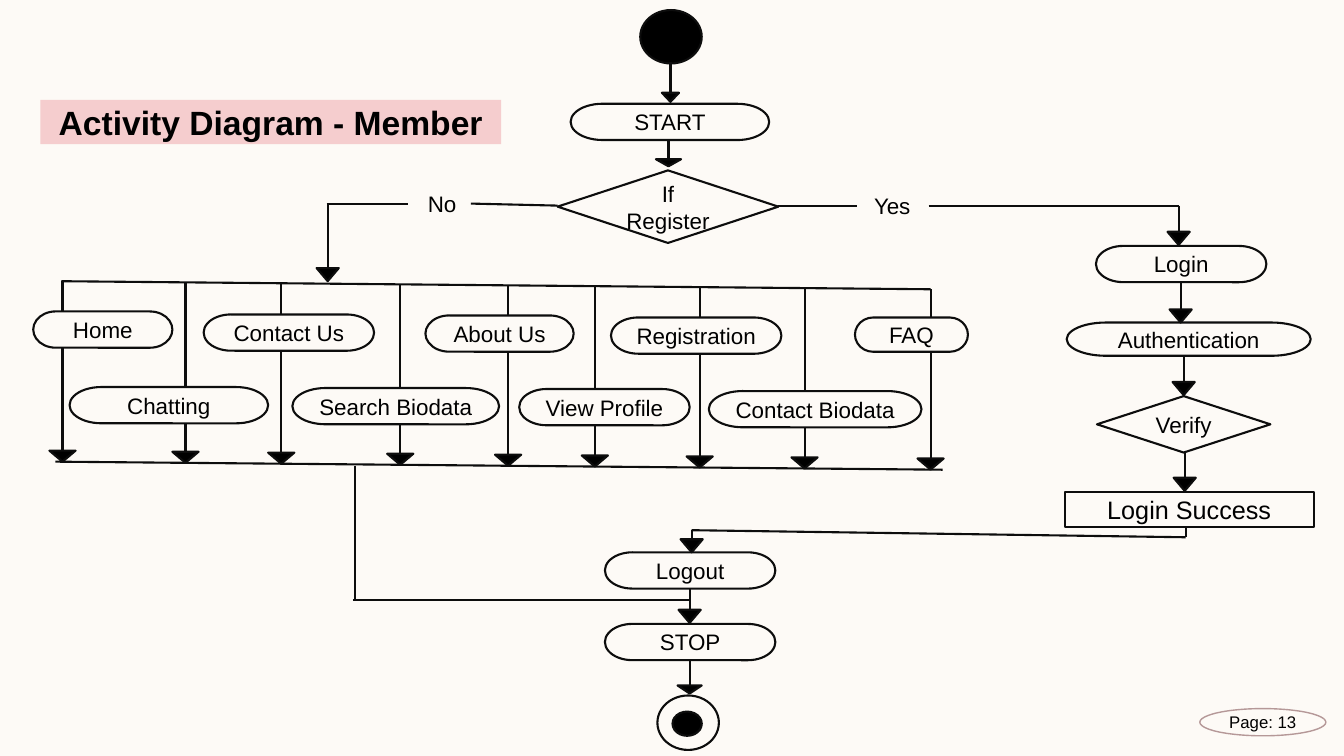
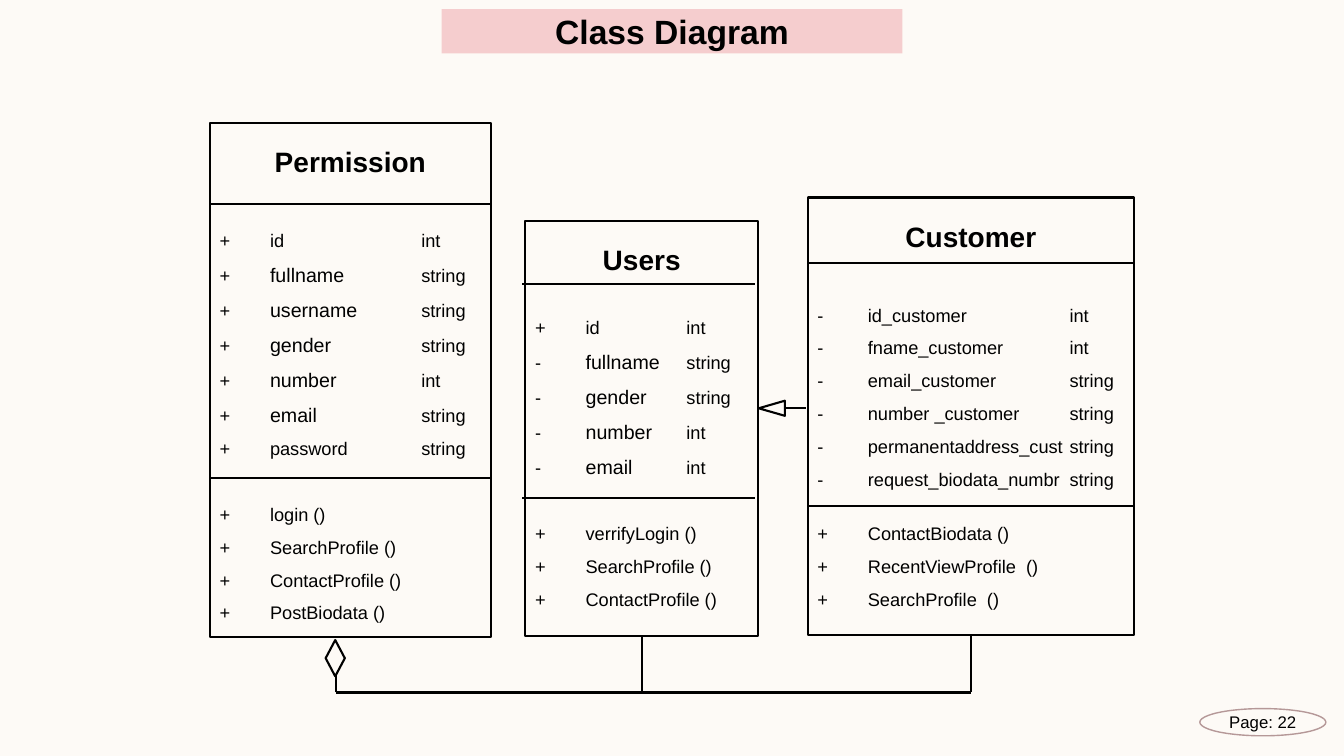
"""Build the activity diagram and class diagram slides."""
from dataclasses import dataclass
from typing import NamedTuple, Optional

from lxml.etree import SubElement
from pptx import Presentation
from pptx.dml.color import RGBColor
from pptx.enum.shapes import MSO_CONNECTOR, MSO_SHAPE
from pptx.enum.text import MSO_ANCHOR, PP_ALIGN
from pptx.oxml.ns import qn
from pptx.shapes.autoshape import Shape
from pptx.slide import Slide
from pptx.text.text import _Paragraph as Paragraph
from pptx.util import Inches, Pt

COLORS = {
    "background": "FDFAF6",
    "title": "F5CDCE",
    "badge": "B59898",
    "ink": "0D0D0D",
    "black": "000000",
}
FONT = "Arial"
TERMINATOR = MSO_SHAPE.FLOWCHART_TERMINATOR
DECISION = MSO_SHAPE.FLOWCHART_DECISION


@dataclass
class Node:
    left: float
    top: float
    width: float
    height: float = 0.36
    label: str = ""
    kind: MSO_SHAPE = TERMINATOR
    size: int = 16
    bold: bool = False
    fill: Optional[str] = None
    line: Optional[str] = "ink"
    weight: float = 1.5
    rotation: int = 0


class Segment(NamedTuple):
    x1: float
    y1: float
    x2: float
    y2: float


class Arrow(NamedTuple):
    x: float
    top: float
    tip: float
    head_width: float = 0.22
    head_height: float = 0.13


class Branch(NamedTuple):
    x: float
    node: Node


class Member(NamedTuple):
    sign: str
    name: str
    type: str = ""
    size: int = 13


@dataclass
class ClassBox:
    name: str
    left: float
    top: float
    width: float
    height: float
    type_tab: float
    dividers: tuple[float, float]
    attribute_gap: float
    method_gap: float
    attributes: list[Member]
    methods: list[Member]
    divider_shift: float = 0


TOP_RAIL = Segment(0.61, 2.79, 9.23, 2.87)
BOTTOM_RAIL = Segment(0.55, 4.58, 9.35, 4.66)

ACTIVITY_NODES = [
    Node(5.66, 1.03, 1.97, label="START"),
    Node(5.53, 1.69, 2.19, 0.72, "If\nRegister", DECISION),
    Node(8.5, 1.89, 0.7, 0.29, "Yes", line=None),
    Node(4.1, 1.85, 0.57, 0.34, "No", line=None),
    Node(10.87, 2.44, 1.69, label="Login"),
    Node(10.58, 3.2, 2.42, 0.33, "Authentication"),
    Node(10.88, 3.93, 1.72, 0.56, "Verify", DECISION),
    Node(10.56, 4.88, 2.47, 0.35, "Login Success", MSO_SHAPE.RECTANGLE, 18),
    Node(6, 5.48, 1.69, label="Logout"),
    Node(6, 6.19, 1.69, label="STOP"),
    Node(6.35, 0.1, 0.61, 0.53, kind=MSO_SHAPE.OVAL, fill="black"),
    Node(6.52, 6.9, 0.61, 0.54, kind=MSO_SHAPE.OVAL),
    Node(6.67, 7.06, 0.29, 0.24, kind=MSO_SHAPE.OVAL, fill="black"),
]
ACTIVITY_LINES = [
    TOP_RAIL,
    BOTTOM_RAIL,
    Segment(4.67, 2.02, 5.53, 2.04),
    Segment(3.24, 2.02, 4.05, 2.02),
    Segment(7.72, 2.04, 8.5, 2.04),
    Segment(9.21, 2.04, 11.69, 2.04),
    Segment(11.76, 5.23, 11.76, 5.33),
    Segment(11.76, 5.33, 6.86, 5.26),
    Segment(3.52, 4.62, 3.52, 5.95),
    Segment(3.5, 5.95, 6.84, 5.95),
]
ACTIVITY_ARROWS = [
    Arrow(6.65, 0.62, 1.01, 0.17, 0.09),
    Arrow(6.63, 1.39, 1.65, 0.25, 0.07),
    Arrow(3.25, 2.02, 2.79),
    Arrow(11.69, 2.04, 2.43),
    Arrow(11.71, 2.8, 3.2),
    Arrow(11.74, 3.53, 3.92),
    Arrow(11.75, 4.47, 4.87),
    Arrow(6.86, 5.26, 5.48),
    Arrow(6.84, 5.84, 6.18),
    Arrow(6.84, 6.56, 6.88, 0.24, 0.08),
]
MENU_BRANCHES = [
    Branch(0.62, Node(0.33, 3.09, 1.38, label="Home")),
    Branch(1.84, Node(0.69, 3.84, 1.97, label="Chatting")),
    Branch(2.79, Node(2.02, 3.12, 1.69, label="Contact Us")),
    Branch(3.97, Node(2.9, 3.85, 2.05, label="Search Biodata")),
    Branch(5.04, Node(4.22, 3.13, 1.47, label="About Us")),
    Branch(5.9, Node(5.15, 3.86, 1.69, label="View Profile")),
    Branch(6.94, Node(6.06, 3.15, 1.69, label="Registration")),
    Branch(7.98, Node(7.03, 3.88, 2.11, label="Contact Biodata")),
    Branch(9.23, Node(8.48, 3.15, 1.12, 0.34, "FAQ")),
]
CLASS_BOXES = [
    ClassBox(
        "Permission", 2.08, 1.22, 2.79, 5.1, 2, (2.02, 4.74), 28.7, 23.4,
        [
            Member("+", "id", "int"),
            Member("+", "fullname", "string", 14),
            Member("+", "username", "string", 14),
            Member("+", "gender", "string", 14),
            Member("+", "number", "int", 14),
            Member("+", "email", "string", 14),
            Member("+", "password", "string"),
        ],
        [Member("+", name) for name in (
            "login ()", "SearchProfile ()", "ContactProfile ()", "PostBiodata ()")],
    ),
    ClassBox(
        "Users", 5.21, 2.19, 2.31, 4.12, 1.5, (2.82, 4.94), 20.9, 23.4,
        [
            Member("+", "id", "int"),
            Member("-", "fullname", "string", 14),
            Member("-", "gender", "string", 14),
            Member("-", "number", "int", 14),
            Member("-", "email", "int", 14),
        ],
        [Member("+", name) for name in (
            "verrifyLogin ()", "SearchProfile ()", "ContactProfile ()")],
        divider_shift=-0.03,
    ),
    ClassBox(
        "Customer", 8.01, 1.96, 3.24, 4.34, 2.5, (2.61, 5.02), 28.7, 15.6,
        [
            Member("-", "id_customer", "int"),
            Member("-", "fname_customer", "int"),
            Member("-", "email_customer", "string"),
            Member("-", "number _customer", "string"),
            Member("-", "permanentaddress_cust", "string"),
            Member("-", "request_biodata_numbr", "string"),
        ],
        [Member("+", name) for name in (
            "ContactBiodata ()", "RecentViewProfile  ()", "SearchProfile  ()")],
    ),
]
CLASS_LINES = [
    Segment(3.33, 6.87, 9.63, 6.87),
    Segment(6.37, 6.87, 6.37, 6.31),
    Segment(9.63, 6.87, 9.63, 6.3),
    Segment(3.33, 6.87, 3.33, 6.7),
    Segment(7.99, 4.05, 7.79, 4.05),
]
CLASS_MARKERS = [
    Node(7.58, 3.92, 0.15, 0.26, kind=MSO_SHAPE.FLOWCHART_EXTRACT, line="black", rotation=270),
    Node(3.23, 6.35, 0.19, 0.36, kind=DECISION, line="black"),
]


def color(name: str) -> RGBColor:
    """Look up a palette colour."""
    return RGBColor.from_string(COLORS[name])


def style_paragraph(paragraph: Paragraph, size: int, bold: bool, alignment: PP_ALIGN) -> None:
    """Apply the deck font to a whole paragraph."""
    paragraph.alignment = alignment
    paragraph.font.name = FONT
    paragraph.font.size = Pt(size)
    paragraph.font.bold = bold
    paragraph.font.color.rgb = color("black")


def draw_node(slide: Slide, node: Node) -> Shape:
    """Draw a preset shape with an optional centred label."""
    shape = slide.shapes.add_shape(
        node.kind, Inches(node.left), Inches(node.top), Inches(node.width), Inches(node.height))
    shape.shadow.inherit = False
    shape.rotation = node.rotation
    if node.fill:
        shape.fill.solid()
        shape.fill.fore_color.rgb = color(node.fill)
    else:
        shape.fill.background()
    if node.line:
        shape.line.color.rgb = color(node.line)
        shape.line.width = Pt(node.weight)
    else:
        shape.line.fill.background()
    if node.label:
        frame = shape.text_frame
        frame.text = node.label
        frame.word_wrap = False
        frame.vertical_anchor = MSO_ANCHOR.MIDDLE
        for paragraph in frame.paragraphs:
            style_paragraph(paragraph, node.size, node.bold, PP_ALIGN.CENTER)
    return shape


def draw_line(slide: Slide, segment: Segment, line_color: str = "ink") -> None:
    """Draw a straight line without a shadow."""
    connector = slide.shapes.add_connector(
        MSO_CONNECTOR.STRAIGHT, *(Inches(value) for value in segment))
    connector.line.color.rgb = color(line_color)
    connector.line.width = Pt(1.5)
    SubElement(connector._element.spPr, qn("a:effectLst"))


def draw_arrow(slide: Slide, arrow: Arrow) -> None:
    """Draw a downward line ending in a solid triangle."""
    neck = arrow.tip - arrow.head_height
    draw_line(slide, Segment(arrow.x, arrow.top, arrow.x, neck))
    draw_node(slide, Node(arrow.x - arrow.head_width / 2, neck, arrow.head_width,
                          arrow.head_height, kind=MSO_SHAPE.FLOWCHART_MERGE, fill="black"))


def rail_height(rail: Segment, x: float) -> float:
    """Find the height of a sloping rail at x."""
    return rail.y1 + (x - rail.x1) * (rail.y2 - rail.y1) / (rail.x2 - rail.x1)


def draw_branch(slide: Slide, branch: Branch) -> None:
    """Draw a menu entry hung between the two rails."""
    x, node = branch
    draw_line(slide, Segment(x, rail_height(TOP_RAIL, x), x, node.top))
    draw_node(slide, node)
    draw_arrow(slide, Arrow(x, node.top + node.height, rail_height(BOTTOM_RAIL, x), 0.26, 0.11))


def add_member(paragraph: Paragraph, member: Member, type_tab: float, gap: float) -> None:
    """Write one class member in tabbed columns."""
    tabs = SubElement(paragraph._p.get_or_add_pPr(), qn("a:tabLst"))
    for position in (0.5, type_tab):
        SubElement(tabs, qn("a:tab"), pos=str(Inches(position)), algn="l")
    style_paragraph(paragraph, 13, False, PP_ALIGN.LEFT)
    paragraph.line_spacing = Pt(23.4 if member.size == 13 else 25.1)
    paragraph.space_before = Pt(gap)
    paragraph.add_run().text = f"{member.sign}\t"
    name_run = paragraph.add_run()
    name_run.text = member.name
    if member.size != 13:
        name_run.font.size = Pt(member.size)
    if member.type:
        paragraph.add_run().text = f"\t{member.type}"


def draw_class(slide: Slide, box: ClassBox) -> None:
    """Draw a class with its name, attributes and methods."""
    shape = draw_node(slide, Node(box.left, box.top, box.width, box.height, box.name,
                                  MSO_SHAPE.RECTANGLE, 20, True, line="black"))
    frame = shape.text_frame
    frame.word_wrap = True
    frame.vertical_anchor = MSO_ANCHOR.TOP
    frame.paragraphs[0].line_spacing = Pt(36)
    for members, gap in ((box.attributes, box.attribute_gap), (box.methods, box.method_gap)):
        for index, member in enumerate(members):
            add_member(frame.add_paragraph(), member, box.type_tab, 0 if index else gap)
    left = box.left + box.divider_shift
    for height in box.dividers:
        draw_line(slide, Segment(left, height, left + box.width, height), "black")


def add_slide(presentation: Presentation, title: str, left: float, top: float, page: int) -> Slide:
    """Add a slide with its background, title band and page badge."""
    slide = presentation.slides.add_slide(presentation.slide_layouts[6])
    slide.background.fill.solid()
    slide.background.fill.fore_color.rgb = color("background")
    draw_node(slide, Node(left, top, 4.57, 0.44, title, MSO_SHAPE.RECTANGLE, 24, True,
                          "title", None))
    draw_node(slide, Node(11.9, 7.03, 1.25, 0.27, f"Page: {page}", MSO_SHAPE.OVAL, 12,
                          line="badge", weight=1))
    return slide


def main() -> None:
    """Build and save the presentation."""
    presentation = Presentation()
    presentation.slide_width, presentation.slide_height = Inches(13.33), Inches(7.5)

    activity = add_slide(presentation, "Activity Diagram - Member", 0.4, 0.99, 13)
    for segment in ACTIVITY_LINES:
        draw_line(activity, segment)
    for node in ACTIVITY_NODES:
        draw_node(activity, node)
    for arrow in ACTIVITY_ARROWS:
        draw_arrow(activity, arrow)
    for branch in MENU_BRANCHES:
        draw_branch(activity, branch)

    classes = add_slide(presentation, "Class Diagram", 4.38, 0.09, 22)
    for box in CLASS_BOXES:
        draw_class(classes, box)
    for segment in CLASS_LINES:
        draw_line(classes, segment, "black")
    for marker in CLASS_MARKERS:
        draw_node(classes, marker)

    presentation.save("out.pptx")


if __name__ == "__main__":
    main()
